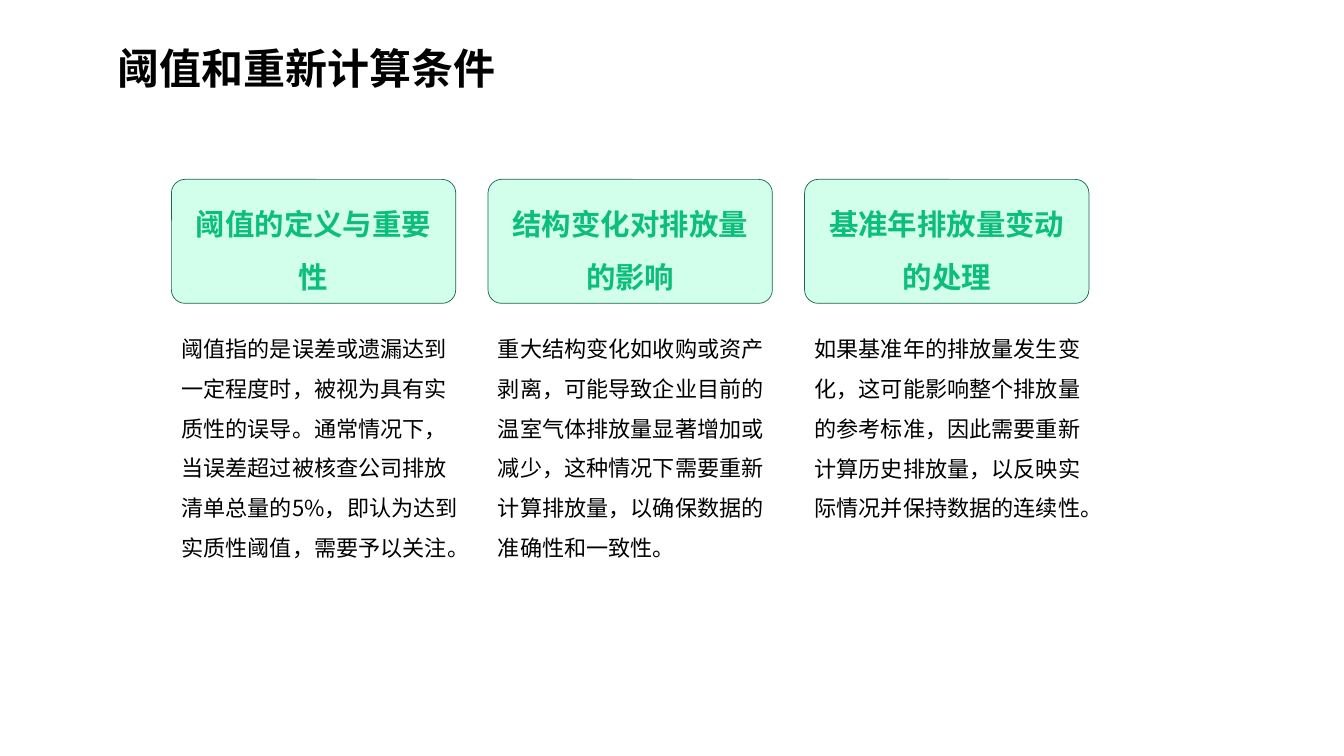
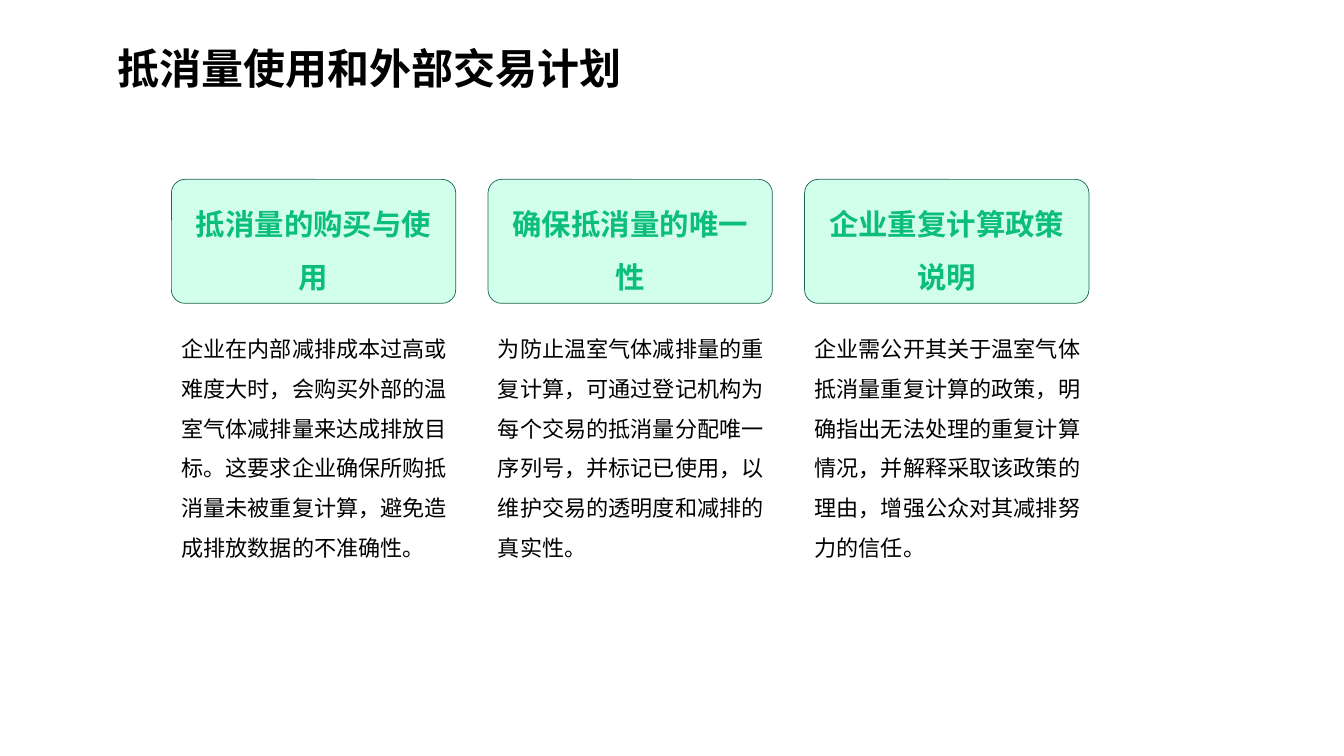
"""Build two slides on recalculation thresholds and offsets, three cards each."""
from dataclasses import dataclass

from lxml.etree import SubElement
from pptx import Presentation
from pptx.dml.color import RGBColor
from pptx.enum.shapes import MSO_SHAPE
from pptx.enum.text import MSO_ANCHOR, MSO_AUTO_SIZE, PP_ALIGN
from pptx.oxml.ns import qn
from pptx.util import Inches, Pt

SLIDES = [
    ("阈值和重新计算条件", [
        ("阈值的定义与重要性", 6,
         "阈值指的是误差或遗漏达到一定程度时，被视为具有实质性的误导。通常情况下，"
         "当误差超过被核查公司排放清单总量的5%，即认为达到实质性阈值，需要予以关注。"),
        ("结构变化对排放量的影响", 6,
         "重大结构变化如收购或资产剥离，可能导致企业目前的温室气体排放量显著增加或减少，"
         "这种情况下需要重新计算排放量，以确保数据的准确性和一致性。"),
        ("基准年排放量变动的处理", 5,
         "如果基准年的排放量发生变化，这可能影响整个排放量的参考标准，"
         "因此需要重新计算历史排放量，以反映实际情况并保持数据的连续性。"),
    ]),
    ("抵消量使用和外部交易计划", [
        ("抵消量的购买与使用", 6,
         "企业在内部减排成本过高或难度大时，会购买外部的温室气体减排量来达成排放目标。"
         "这要求企业确保所购抵消量未被重复计算，避免造成排放数据的不准确性。"),
        ("确保抵消量的唯一性", 6,
         "为防止温室气体减排量的重复计算，可通过登记机构为每个交易的抵消量分配唯一序列号，"
         "并标记已使用，以维护交易的透明度和减排的真实性。"),
        ("企业重复计算政策说明", 6,
         "企业需公开其关于温室气体抵消量重复计算的政策，明确指出无法处理的重复计算情况，"
         "并解释采取该政策的理由，增强公众对其减排努力的信任。"),
    ]),
]


@dataclass(frozen=True)
class Theme:
    font: str = "Noto Sans CJK SC"
    text: str = "000000"
    accent: str = "0CBE7C"
    card: str = "D1FFEB"
    border: str = "1A6550"
    title_size: float = 30
    head_size: float = 21
    body_size: float = 15.8


THEME = Theme()
LEFT, STEP = 1.7, 3.14
HEAD_TOP, HEAD_W, HEAD_H = 1.78, 2.82, 1.23
BODY_TOP, BODY_W, LINE_H, BODY_PAD = 3.15, 3, 0.39, 0.12


def write(sp, text, size, color=THEME.text, bold=False, align=PP_ALIGN.LEFT):
    tf = sp.text_frame
    tf.word_wrap = True
    tf.auto_size = MSO_AUTO_SIZE.SHAPE_TO_FIT_TEXT
    tf.vertical_anchor = MSO_ANCHOR.MIDDLE
    p = tf.paragraphs[0]
    p.alignment, p.line_spacing = align, 1.5
    r = p.add_run()
    r.text = text
    r.font.name, r.font.size, r.font.bold = THEME.font, Pt(size), bold
    r.font.color.rgb = RGBColor.from_string(color)
    SubElement(r.font._element, qn("a:ea"), typeface=THEME.font)


def add_text(s, box, text, **fmt):
    write(s.shapes.add_textbox(*map(Inches, box)), text, **fmt)


def add_heading(s, box, text):
    sp = s.shapes.add_shape(MSO_SHAPE.ROUNDED_RECTANGLE, *map(Inches, box))
    sp.adjustments[0] = 0.11
    sp.shadow.inherit = False
    sp.fill.solid()
    sp.fill.fore_color.rgb = RGBColor.from_string(THEME.card)
    sp.line.color.rgb = RGBColor.from_string(THEME.border)
    sp.line.width = Pt(0.5)
    write(sp, text, THEME.head_size, color=THEME.accent, bold=True, align=PP_ALIGN.CENTER)


def add_slide(prs, title, cards):
    s = prs.slides.add_slide(prs.slide_layouts[6])
    add_text(s, (1.07, 0.12, 10.25, 0.85), title, size=THEME.title_size, bold=True)
    for i, (heading, lines, body) in enumerate(cards):
        x = LEFT + i * STEP
        add_text(s, (x, BODY_TOP, BODY_W, lines * LINE_H + BODY_PAD), body, size=THEME.body_size)
        add_heading(s, (x, HEAD_TOP, HEAD_W, HEAD_H), heading)


def main():
    prs = Presentation()
    prs.slide_width, prs.slide_height = Inches(13.33), Inches(7.5)
    for title, cards in SLIDES:
        add_slide(prs, title, cards)
    prs.save("out.pptx")


if __name__ == "__main__":
    main()
